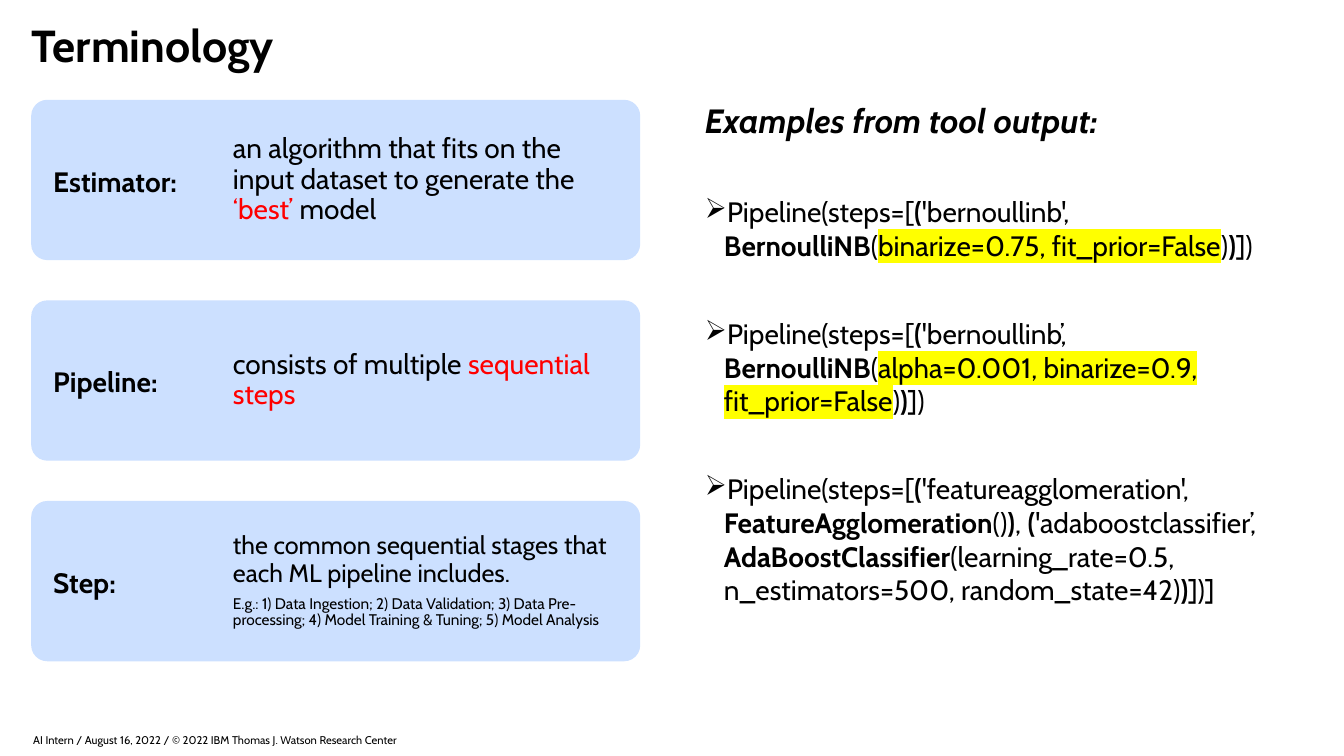
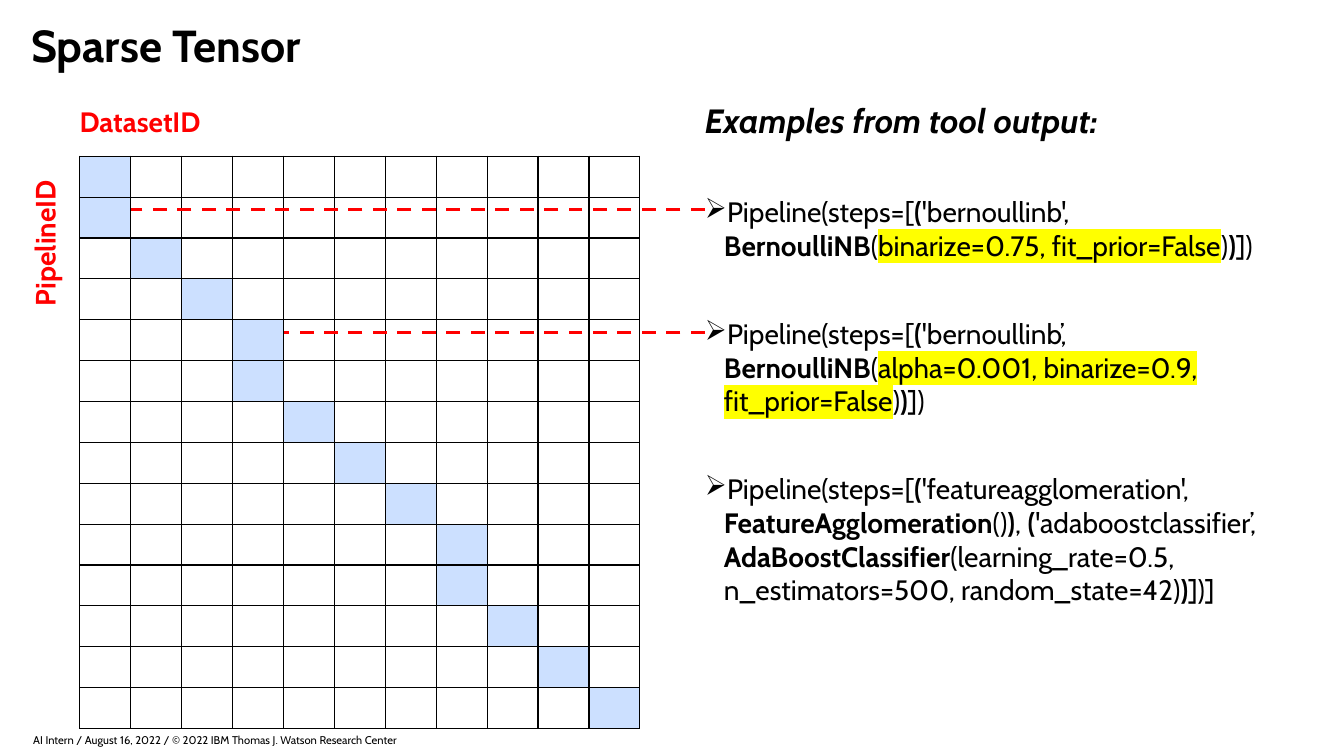
from lxml import etree
from pptx import Presentation
from pptx.dml.color import RGBColor
from pptx.enum.dml import MSO_LINE
from pptx.enum.shapes import MSO_CONNECTOR, MSO_SHAPE
from pptx.enum.text import MSO_ANCHOR
from pptx.oxml.ns import qn
from pptx.util import Inches, Pt

ROUNDED = MSO_SHAPE.ROUNDED_RECTANGLE
STRAIGHT = MSO_CONNECTOR.STRAIGHT
DASH = MSO_LINE.DASH
TOP, MIDDLE = MSO_ANCHOR.TOP, MSO_ANCHOR.MIDDLE

BLACK = RGBColor(0x00, 0x00, 0x00)
WHITE = RGBColor(0xFF, 0xFF, 0xFF)
RED = RGBColor(0xFF, 0x00, 0x00)
PALE_BLUE = RGBColor(0xCC, 0xE0, 0xFF)
YELLOW = RGBColor(0xFF, 0xFF, 0x00)
FONT = "Cabin"

LEFT_X, BODY_Y, LEFT_W = 0.31, 0.99, 6.04
RIGHT_X, RIGHT_W, BODY_H = 6.99, 6.01, 5.57

BOLD = {"bold": True}
MARKED = {"highlight": YELLOW}
FOOTER = "AI Intern / August 16, 2022 / © 2022 IBM Thomas J. Watson Research Center"

# Each pipeline is a list of runs: plain strings or (text, format) pairs.
START = ["Pipeline(steps=[", ("(", BOLD)]
BERNOULLI = [("BernoulliNB", BOLD), "("]
END = [")", (")", BOLD), "])"]
PIPELINES = [
    START + ["'bernoullinb', "] + BERNOULLI
    + [("binarize=0.75, fit_prior=False", MARKED)] + END,
    START + ["'bernoullinb’, "] + BERNOULLI
    + [("alpha=0.001, binarize=0.9, fit_prior=False", MARKED)] + END,
    START + ["'featureagglomeration', ", ("FeatureAgglomeration", BOLD), "()",
             (")", BOLD), ", ", ("(", BOLD), "'adaboostclassifier’, ",
             ("AdaBoostClassifier", BOLD),
             "(learning_rate=0.5, n_estimators=500, random_state=42)",
             (")", BOLD), "])]"],
]

TERMS = [
    ("Estimator:", 20, ["an algorithm that fits on the input dataset to generate the ",
                        ("‘best’ ", {"color": RED}), "model"], None),
    ("Pipeline:", 20, ["consists of multiple ",
                       ("sequential steps", {"color": RED})], None),
    ("Step:", 18, ["the common sequential stages that each ML pipeline includes."],
     "E.g.: 1) Data Ingestion; 2) Data Validation; 3) Data Pre-processing; "
     "4) Model Training & Tuning; 5) Model Analysis"),
]

FILLED_COLUMNS = [0, 0, 1, 2, 3, 3, 4, 5, 6, 7, 7, 8, 9, 10]


def add_color(parent, tag, color):
    el = etree.SubElement(parent, qn(tag))
    etree.SubElement(el, qn("a:srgbClr")).set("val", str(color))
    return el


def add_run(p, text, size=20, color=BLACK, bold=False, italic=False, highlight=None):
    r = p.add_run()
    r.text = text
    font = r.font
    font.name, font.size, font.bold, font.italic = FONT, Pt(size), bold, italic
    font.color.rgb = color
    if highlight is not None:
        props = font._element
        mark = add_color(props, "a:highlight", highlight)
        props.find(qn("a:solidFill")).addnext(mark)


def add_paragraph(tf, runs, before=None, after=None, spacing=None, bullet=None, **fmt):
    """Fill the empty first paragraph of a frame, or append one."""
    p = tf.paragraphs[0]
    if p.runs:
        p = tf.add_paragraph()
    p.space_before, p.space_after, p.line_spacing = before, after, spacing
    if bullet:
        props = p._p.get_or_add_pPr()
        props.set("marL", str(Inches(0.19)))
        props.set("indent", str(-Inches(0.19)))
        add_color(props, "a:buClr", BLACK)
        etree.SubElement(props, qn("a:buChar")).set("char", bullet)
    for run in [runs] if isinstance(runs, str) else runs:
        text, own = (run, {}) if isinstance(run, str) else run
        add_run(p, text, **{**fmt, **own})


def add_text(slide, x, y, w, h, runs, anchor=TOP, inset=0, **fmt):
    """Add a text box; inset is one margin, or a pair of side and top margins."""
    sp = slide.shapes.add_textbox(Inches(x), Inches(y), Inches(w), Inches(h))
    tf = sp.text_frame
    tf.word_wrap = True
    tf.vertical_anchor = anchor
    side, top = inset if isinstance(inset, tuple) else (inset, inset)
    tf.margin_left = tf.margin_right = Inches(side)
    tf.margin_top = tf.margin_bottom = Inches(top)
    add_paragraph(tf, runs, **fmt)
    return sp


def add_label(slide, x, y, w, text, **fmt):
    return add_text(slide, x, y, w, 0.44, text, inset=(0.1, 0.05), bold=True, **fmt)


def add_base_slide(prs, title):
    """Add a blank slide with the shared title, examples and footer."""
    slide = prs.slides.add_slide(prs.slide_layouts[6])
    add_text(slide, LEFT_X, 0.24, LEFT_W, 0.65, title, size=32, bold=True, spacing=0.9)
    add_examples(slide, RIGHT_X, BODY_Y, RIGHT_W, BODY_H)
    add_text(slide, 0.33, 7.22, 6, 0.24, FOOTER, anchor=MIDDLE, size=8)
    return slide


def add_examples(slide, x, y, w, h):
    sp = add_text(slide, x, y, w, h, "Examples from tool output:",
                  size=24, bold=True, italic=True)
    for runs in PIPELINES:
        add_paragraph(sp.text_frame, runs, before=Pt(39), bullet="➢")


def add_term_card(slide, x, y, w, h, term, size, definition, example):
    card = slide.shapes.add_shape(ROUNDED, Inches(x), Inches(y), Inches(w), Inches(h))
    card.shadow.inherit = False
    card.adjustments[0] = 0.1
    card.fill.solid()
    card.fill.fore_color.rgb = PALE_BLUE
    card.line.fill.background()
    add_label(slide, x + 0.12, y + 0.59, 1.64, term)
    sp = add_text(slide, x + 1.83, y, w - 1.83, h, definition, anchor=MIDDLE,
                  inset=0.17, size=size, spacing=0.9, after=Pt(6))
    if example:
        add_paragraph(sp.text_frame, example, size=11, spacing=0.9, after=Pt(6))


def format_cell(cell, color):
    cell.margin_left = cell.margin_right = cell.margin_top = cell.margin_bottom = 0
    cell.fill.solid()
    cell.fill.fore_color.rgb = color
    props = cell._tc.get_or_add_tcPr()
    for i, side in enumerate(("a:lnL", "a:lnR", "a:lnT", "a:lnB")):
        ln = etree.Element(qn(side), w=str(Pt(1)))
        add_color(ln, "a:solidFill", BLACK)
        props.insert(i, ln)


def add_tensor_grid(slide, x, y, w, h):
    n_rows, n_cols = len(FILLED_COLUMNS), max(FILLED_COLUMNS) + 1
    table = slide.shapes.add_table(n_rows, n_cols, Inches(x), Inches(y),
                                   Inches(w), Inches(h)).table
    table.first_row = table.horz_banding = False
    for col in table.columns:
        col.width = Inches(w / n_cols)
    for row, filled in zip(table.rows, FILLED_COLUMNS):
        row.height = Inches(h / n_rows)
        for i, cell in enumerate(row.cells):
            format_cell(cell, PALE_BLUE if i == filled else WHITE)


def add_dashed_line(slide, x1, x2, y):
    line = slide.shapes.add_connector(STRAIGHT, Inches(x1), Inches(y),
                                      Inches(x2), Inches(y))
    line.line.color.rgb = RED
    line.line.width = Pt(2.5)
    line.line.dash_style = DASH
    etree.SubElement(line._element.spPr, qn("a:effectLst"))


def build_terminology(prs):
    slide = add_base_slide(prs, "Terminology")
    height = 1.59
    pitch = (BODY_H - height) / (len(TERMS) - 1)
    for i, term in enumerate(TERMS):
        add_term_card(slide, LEFT_X, BODY_Y + i * pitch, LEFT_W, height, *term)


def build_sparse_tensor(prs):
    slide = add_base_slide(prs, "Sparse Tensor")
    x, y, w, h = 0.79, 1.55, 5.56, 5.68
    add_tensor_grid(slide, x, y, w, h)
    add_label(slide, -0.35, 2.12, 1.59, "PipelineID", color=RED).rotation = 270
    add_label(slide, x - 0.1, BODY_Y, 1.59, "DatasetID", color=RED)
    col_w = w / (max(FILLED_COLUMNS) + 1)
    for row, line_y in ((1, 2.08), (4, 3.3)):
        add_dashed_line(slide, RIGHT_X, x + (FILLED_COLUMNS[row] + 1) * col_w, line_y)


def main():
    prs = Presentation()
    prs.slide_width, prs.slide_height = Inches(13.33), Inches(7.5)
    build_terminology(prs)
    build_sparse_tensor(prs)
    prs.save("out.pptx")


if __name__ == "__main__":
    main()
